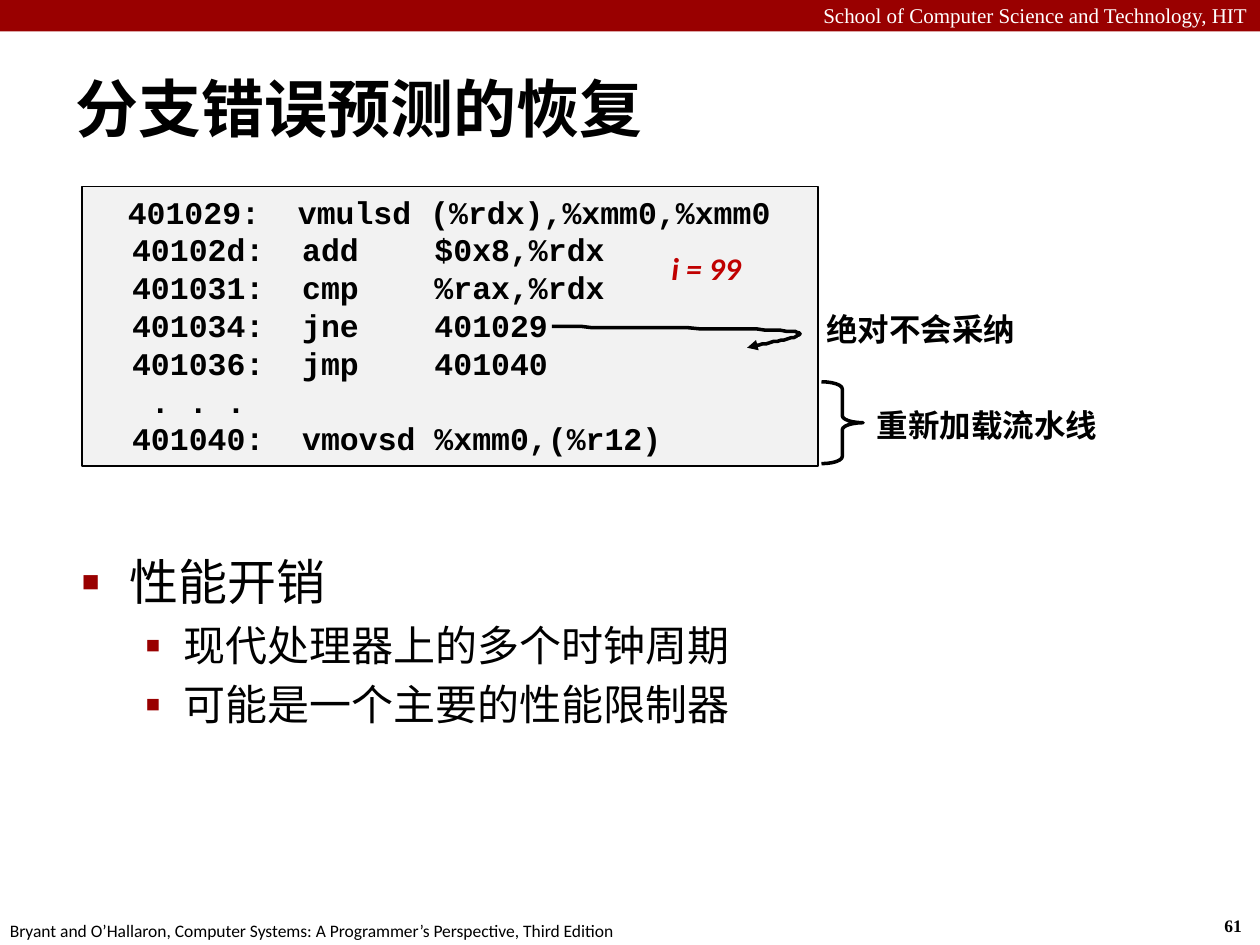
from lxml import etree
from pptx import Presentation
from pptx import util as u
from pptx.dml.color import RGBColor
from pptx.enum import shapes, text
from pptx.oxml.ns import qn

PX = 9144  # 100 px to the inch
BLACK = RGBColor(0, 0, 0)
WHITE = RGBColor(255, 255, 255)
CRIMSON = RGBColor(0x99, 0, 0)
RED = RGBColor(0xC0, 0, 0)
LIGHT_GREY = RGBColor(0xF2, 0xF2, 0xF2)

SANS, SERIF, MONO = "Calibri", "Times New Roman", "Courier New"

CODE = [
    "  401029:  vmulsd (%rdx),%xmm0,%xmm0",
    "  40102d:  add    $0x8,%rdx",
    "  401031:  cmp    %rax,%rdx",
    "  401034:  jne    401029",
    "  401036:  jmp    401040",
    "   . . .",
    "  401040:  vmovsd %xmm0,(%r12)",
]
BODY = [
    (0, "性能开销"),
    (1, "现代处理器上的多个时钟周期"),
    (1, "可能是一个主要的性能限制器"),
]
# level: (font size, left margin, hanging indent, bullet, bullet size in percent)
LEVELS = {0: (28, 38, 38, "■", 60), 1: (24, 81, 31, "▪", 110)}


def bezier(start, control_1, control_2, end, steps=24):
    """Points along a cubic curve, without its start."""
    points = []
    for step in range(1, steps + 1):
        t = step / steps
        weights = ((1 - t) ** 3, 3 * t * (1 - t) ** 2, 3 * t * t * (1 - t), t ** 3)
        points.append(tuple(
            sum(w * c for w, c in zip(weights, axis))
            for axis in zip(start, control_1, control_2, end)))
    return points


class SlideBuilder:
    def __init__(self, slide):
        self.slide = slide

    def box(self, left, top, width, height):
        return [u.Emu(value * PX) for value in (left, top, width, height)]

    def place(self, shape, *bounds):
        shape.left, shape.top, shape.width, shape.height = self.box(*bounds)

    def font(self, paragraph, name, size, color=BLACK, bold=False, italic=False):
        font = paragraph.font
        font.name, font.size = name, u.Pt(size)
        font.bold, font.italic = bold, italic
        font.color.rgb = color

    def indent(self, paragraph, margin, hanging):
        properties = paragraph._p.get_or_add_pPr()
        properties.set("marL", str(margin * PX))
        properties.set("indent", str(-hanging * PX))
        return properties

    def outline(self, shape, color, width):
        shape.shadow.inherit = False
        shape.line.color.rgb = color
        shape.line.width = u.Pt(width)

    def shape(self, kind, bounds, fill=None, line=None, width=1):
        shape = self.slide.shapes.add_shape(kind, *self.box(*bounds))
        shape.shadow.inherit = False
        if fill is None:
            shape.fill.background()
        else:
            shape.fill.solid()
            shape.fill.fore_color.rgb = fill
        if line is None:
            shape.line.fill.background()
        else:
            self.outline(shape, line, width)
        return shape

    def label(self, bounds, words, name, size, align=text.PP_ALIGN.LEFT,
              wrap=False, **style):
        frame = self.slide.shapes.add_textbox(*self.box(*bounds)).text_frame
        frame.word_wrap = wrap
        paragraph = frame.paragraphs[0]
        paragraph.text, paragraph.alignment = words, align
        self.font(paragraph, name, size, **style)

    def title(self, bounds, words):
        shape = self.slide.shapes.title
        self.place(shape, *bounds)
        frame = shape.text_frame
        frame.auto_size = text.MSO_AUTO_SIZE.NONE
        frame.vertical_anchor = text.MSO_ANCHOR.MIDDLE
        paragraph = frame.paragraphs[0]
        paragraph.text, paragraph.alignment = words, text.PP_ALIGN.LEFT
        self.indent(paragraph, 13, 13)
        self.font(paragraph, SANS, 36, bold=True)

    def bullets(self, bounds, items):
        shape = self.slide.placeholders[1]
        self.place(shape, *bounds)
        frame = shape.text_frame
        frame.auto_size = text.MSO_AUTO_SIZE.NONE
        for index, (level, words) in enumerate(items):
            size, margin, hanging, bullet, percent = LEVELS[level]
            paragraph = frame.add_paragraph() if index else frame.paragraphs[0]
            paragraph.text, paragraph.level = words, level
            paragraph.space_before = u.Pt(5 if index else 0)
            properties = self.indent(paragraph, margin, hanging)
            color = etree.SubElement(properties, qn("a:buClr"))
            etree.SubElement(color, qn("a:srgbClr"), val=str(CRIMSON))
            etree.SubElement(properties, qn("a:buSzPct"), val=str(percent * 1000))
            etree.SubElement(properties, qn("a:buFont"), typeface="Arial")
            etree.SubElement(properties, qn("a:buChar"), char=bullet)
            self.font(paragraph, SERIF, size)

    def code(self, bounds, lines):
        shape = self.shape(shapes.MSO_SHAPE.RECTANGLE, bounds, LIGHT_GREY, BLACK)
        frame = shape.text_frame
        frame.vertical_anchor = text.MSO_ANCHOR.TOP
        for index, line in enumerate(lines):
            paragraph = frame.add_paragraph() if index else frame.paragraphs[0]
            paragraph.alignment = text.PP_ALIGN.LEFT
            paragraph.line_spacing = u.Pt(21.6)
            self.font(paragraph, MONO, 18, bold=True)
            if index:
                paragraph.add_run().text = line
            else:  # the first line has a slightly smaller indent
                spaces = paragraph.add_run()
                spaces.text, spaces.font.size = line[:2], u.Pt(16)
                paragraph.add_run().text = line[2:]

    def curved_arrow(self, start, *curves):
        points = [start]
        for curve in curves:
            points += bezier(points[-1], *curve)
        builder = self.slide.shapes.build_freeform(*start, scale=PX)
        builder.add_line_segments(points[1:], close=False)
        shape = builder.convert_to_shape()
        shape.fill.background()
        self.outline(shape, BLACK, 2)
        etree.SubElement(shape.line._get_or_add_ln(), qn("a:tailEnd"), type="triangle")


def main():
    presentation = Presentation()
    presentation.slide_width, presentation.slide_height = u.Inches(10), u.Inches(7.5)
    slide = presentation.slides.add_slide(presentation.slide_layouts[1])
    builder = SlideBuilder(slide)

    builder.shape(shapes.MSO_SHAPE.RECTANGLE, (0, 0, 1000, 25), CRIMSON)
    builder.label((0, -3, 1000, 30), "School of Computer Science and Technology, HIT",
                  SERIF, 12, text.PP_ALIGN.RIGHT, wrap=True, color=WHITE)
    builder.label((962, 721, 37, 27), "61", SERIF, 10, bold=True)
    builder.label((-2, 725, 508, 27),
                  "Bryant and O’Hallaron, Computer Systems: A Programmer’s Perspective, Third Edition",
                  SANS, 10)

    builder.title((50, 54, 826, 63), "分支错误预测的恢复")
    builder.bullets((55, 433, 876, 150), BODY)

    builder.code((65, 148, 584, 222), CODE)
    builder.label((523, 193, 76, 51), "i = 99", SANS, 18, color=RED, bold=True, italic=True)
    builder.curved_arrow((438, 259),
                         ((470, 260), (602, 260), (628, 263)),
                         ((653, 266), (600, 273), (593, 276)))
    builder.label((646, 241, 172, 51), "绝对不会采纳", SANS, 18, bold=True)
    brace = builder.shape(shapes.MSO_SHAPE.RIGHT_BRACE, (652, 303, 33, 65),
                          line=BLACK, width=2)
    brace.adjustments[0] = 0.17
    builder.label((686, 317, 197, 51), "重新加载流水线", SANS, 18, bold=True)

    presentation.save("out.pptx")


if __name__ == "__main__":
    main()
